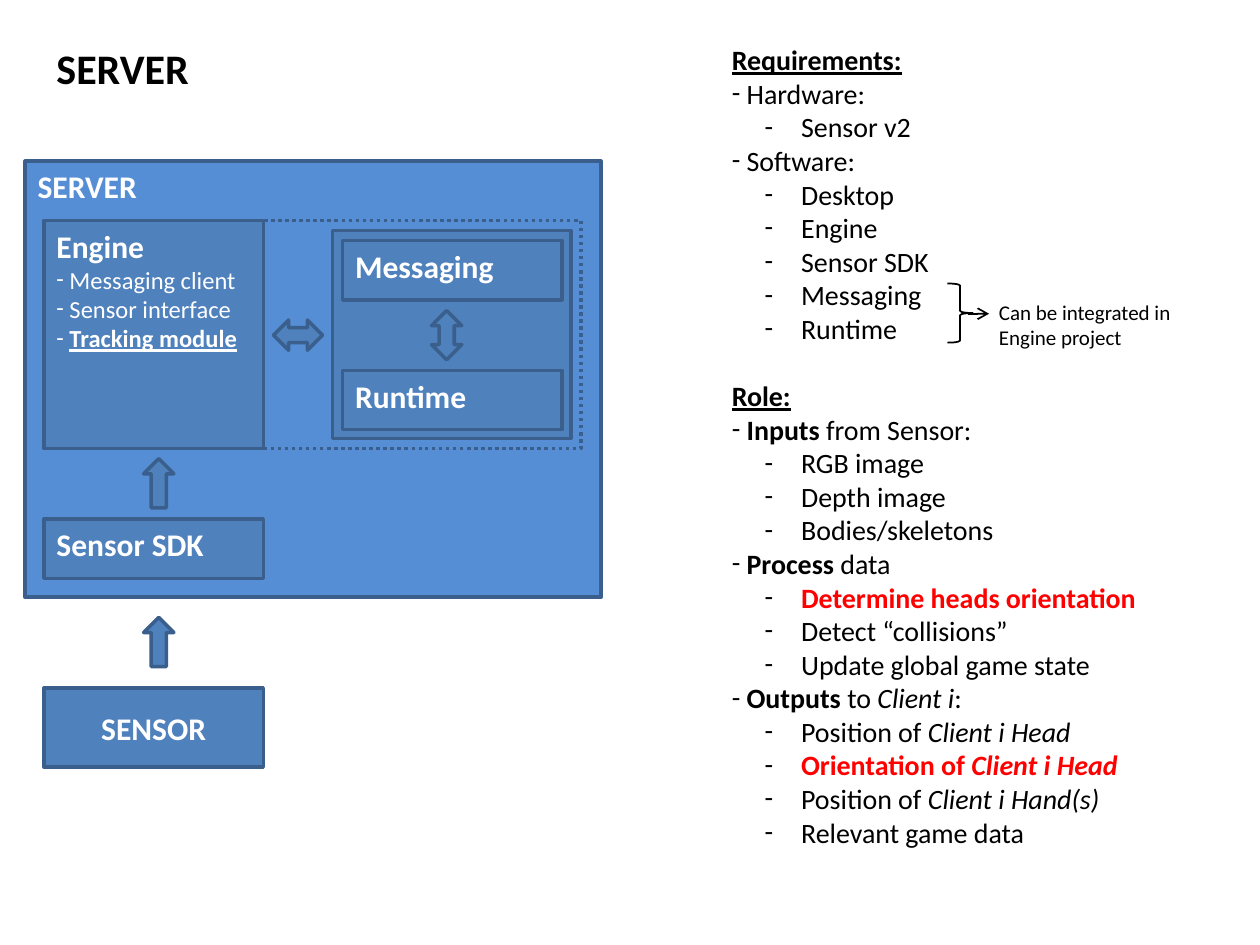
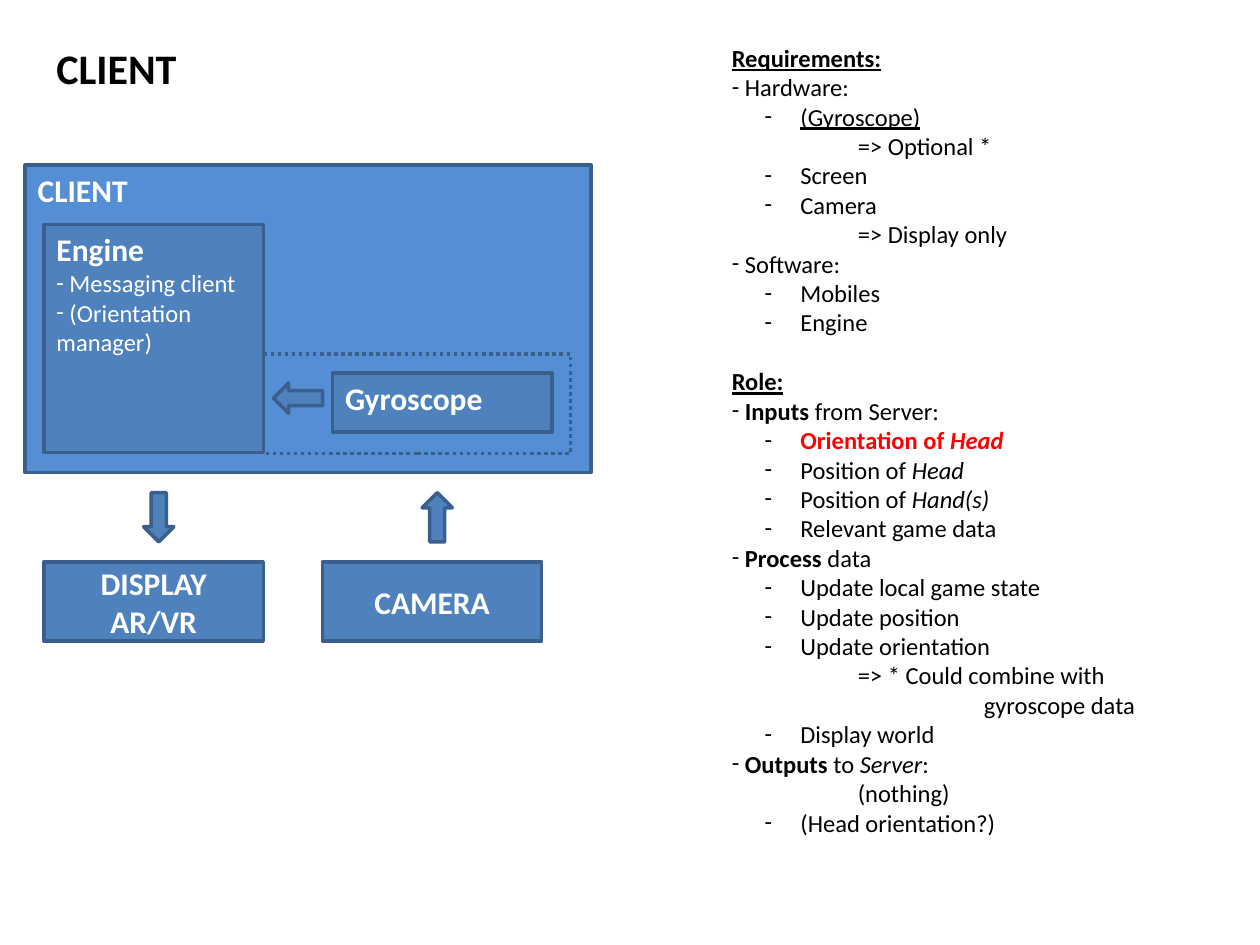
from dataclasses import dataclass

from lxml.etree import SubElement
from pptx import Presentation
from pptx.dml.color import RGBColor
from pptx.enum.dml import MSO_LINE_DASH_STYLE as Dash
from pptx.enum.shapes import MSO_CONNECTOR, MSO_SHAPE as Shape
from pptx.enum.text import MSO_ANCHOR as Anchor, MSO_AUTO_SIZE as AutoSize, PP_ALIGN as Align
from pptx.oxml.ns import qn
from pptx.util import Inches, Pt


@dataclass(frozen=True)
class Theme:
    font: str = "Calibri"
    ink: str = "000000"
    alert: str = "FF0000"
    light: str = "FFFFFF"
    panel: str = "558ED5"
    block: str = "4F81BD"
    outline: str = "3A5F8C"
    title: int = 24
    label: int = 18
    body: int = 16
    detail: int = 14
    caption: int = 12
    frame_width: int = 2
    thin_width: int = 1


THEME = Theme()
COLUMN = 0.35
UNIT_WIDTH, UNIT_HEIGHT = 1.74, 0.47
DEVICE_HEIGHT = 0.63
CORE_HEIGHT = 1.81
ARROW_LONG, ARROW_SHORT = 0.39, 0.24


@dataclass(frozen=True)
class Line:
    spans: tuple
    indent: float = 0
    hang: float = 0
    bullet: bool = False
    size: int = 0
    gap: bool = False


def item(*spans, size=0):
    return Line(spans, bullet=True, size=size)


def sub(*spans):
    return Line(spans, indent=0.5, hang=0.24, bullet=True)


def note(text, indent=1):
    return Line((text,), indent=indent)


def heading(text, gap=False):
    return Line(((text, "bu"),), gap=gap)


def write_text(frame, lines, size, color, bold=False, align=Align.LEFT):
    for index, line in enumerate(lines):
        line = Line((line,)) if isinstance(line, str) else line
        para = frame.paragraphs[0] if index == 0 else frame.add_paragraph()
        para.alignment = align
        line_size = line.size or size
        if line.gap:
            para.space_before = Pt(1.2 * line_size)
        properties = para._p.get_or_add_pPr()
        properties.set("marL", str(Inches(line.indent)))
        properties.set("indent", str(-Inches(line.hang)))
        spans = line.spans
        if line.bullet:
            SubElement(properties, qn("a:buFont"), typeface=THEME.font)
            SubElement(properties, qn("a:buChar"), char="-")
            spans = (" ",) + tuple(spans)
        else:
            SubElement(properties, qn("a:buNone"))
        for span in spans:
            text, style = (span, "") if isinstance(span, str) else span
            run = para.add_run()
            run.text = text
            font = run.font
            font.name, font.size = THEME.font, Pt(line_size)
            font.bold = "b" in style or (bold and not line.bullet)
            font.italic = "i" in style
            font.underline = "u" in style
            font.color.rgb = RGBColor.from_string(THEME.alert if "r" in style else color)


def add_text(page, left, top, width, height, lines, size, bold=False):
    box = page.shapes.add_textbox(Inches(left), Inches(top), Inches(width), Inches(height))
    box.text_frame.word_wrap = False
    box.text_frame.auto_size = AutoSize.SHAPE_TO_FIT_TEXT
    write_text(box.text_frame, lines, size, THEME.ink, bold)


def add_figure(page, kind, left, top, width, height, fill=THEME.block,
               line=THEME.outline, line_width=THEME.frame_width, dash=None, turn=0):
    figure = page.shapes.add_shape(kind, Inches(left), Inches(top), Inches(width), Inches(height))
    figure.shadow.inherit = False
    figure.rotation = turn
    if fill:
        figure.fill.solid()
        figure.fill.fore_color.rgb = RGBColor.from_string(fill)
    else:
        figure.fill.background()
    figure.line.color.rgb = RGBColor.from_string(line)
    figure.line.width = Pt(line_width)
    if dash:
        figure.line.dash_style = dash
    return figure


def add_block(page, left, top, width, height, lines=(), fill=THEME.block, centered=False):
    block = add_figure(page, Shape.RECTANGLE, left, top, width, height, fill)
    frame = block.text_frame
    frame.word_wrap = True
    frame.vertical_anchor = Anchor.MIDDLE if centered else Anchor.TOP
    write_text(frame, lines, THEME.label, THEME.light, bold=True,
               align=Align.CENTER if centered else Align.LEFT)


def add_unit(page, left, top, name):
    add_block(page, left, top, UNIT_WIDTH, UNIT_HEIGHT, [name])


def add_device(page, left, top, *names):
    add_block(page, left, top, UNIT_WIDTH, DEVICE_HEIGHT, names, centered=True)


def add_core(page, top, *details):
    features = [item(detail, size=THEME.detail) for detail in details]
    add_block(page, COLUMN, top, UNIT_WIDTH, CORE_HEIGHT, ["Engine", *features])


def add_group(page, left, top, width, height):
    add_figure(page, Shape.RECTANGLE, left, top, width, height, fill=None, dash=Dash.ROUND_DOT)


def add_vertical_arrow(page, kind, left, top):
    add_figure(page, kind, left, top, ARROW_SHORT, ARROW_LONG)


def add_level_arrow(page, kind, left, top, turn=0):
    add_figure(page, kind, left, top, ARROW_LONG, ARROW_SHORT, turn=turn)


def add_pointer(page, left, right, level):
    pointer = page.shapes.add_connector(
        MSO_CONNECTOR.STRAIGHT, Inches(left), Inches(level), Inches(right), Inches(level))
    pointer.line.color.rgb = RGBColor.from_string(THEME.ink)
    pointer.line.width = Pt(THEME.thin_width)
    SubElement(pointer.line._get_or_add_ln(), qn("a:tailEnd"), type="arrow")
    SubElement(pointer._element.spPr, qn("a:effectLst"))


def start_page(deck, title, title_width):
    page = deck.slides.add_slide(deck.slide_layouts[6])
    add_text(page, COLUMN, 0.29, title_width, 0.5, [title], THEME.title, bold=True)
    return page


def add_outline(page, width, height, lines, size):
    add_text(page, 5.71, 0.29, width, height, lines, size)


def build_server(deck):
    page = start_page(deck, "SERVER", 1.27)
    add_outline(page, 3.52, 6.56, [
        heading("Requirements:"),
        item("Hardware:"),
        sub("Sensor v2"),
        item("Software:"),
        sub("Desktop"),
        sub("Engine"),
        sub("Sensor SDK"),
        sub("Messaging"),
        sub("Runtime"),
        heading("Role:", gap=True),
        item(("Inputs", "b"), " from Sensor:"),
        sub("RGB image"),
        sub("Depth image"),
        sub("Bodies/skeletons"),
        item(("Process", "b"), " data"),
        sub(("Determine heads orientation", "br")),
        sub("Detect “collisions”"),
        sub("Update global game state"),
        item(("Outputs", "b"), " to ", ("Client i", "i"), ":"),
        sub("Position of ", ("Client i Head", "i")),
        sub(("Orientation of ", "br"), ("Client i Head", "bir")),
        sub("Position of ", ("Client i Hand(s)", "i")),
        sub("Relevant game data"),
    ], THEME.body)
    add_figure(page, Shape.RIGHT_BRACE, 7.52, 2.25, 0.2, 0.47, fill=None,
               line=THEME.ink, line_width=THEME.thin_width)
    add_text(page, 7.83, 2.33, 1.57, 0.5,
             ["Can be integrated in", "Engine project"], THEME.caption)
    add_pointer(page, 7.68, 7.85, 2.49)

    add_block(page, 0.2, 1.28, 4.57, 3.46, ["SERVER"], THEME.panel)
    add_block(page, 2.64, 1.83, 1.89, 1.65)
    add_device(page, COLUMN, 5.46, "SENSOR")
    add_unit(page, COLUMN, 4.12, "Sensor SDK")
    add_core(page, 1.75, "Messaging client", "Sensor interface", ("Tracking module", "bu"))
    for top, name in ((1.91, "Messaging"), (2.94, "Runtime")):
        add_unit(page, 2.72, top, name)
    add_group(page, 2.09, 1.75, 2.52, CORE_HEIGHT)
    for left, turn in ((2.17, 0), (3.35, 90)):
        add_level_arrow(page, Shape.LEFT_RIGHT_ARROW, left, 2.54, turn)
    for top in (4.9, 3.64):
        add_vertical_arrow(page, Shape.UP_ARROW, 1.14, top)


def build_client(deck):
    page = start_page(deck, "CLIENT", 1.16)
    add_block(page, 0.2, 1.31, 4.49, 2.44, ["CLIENT"], THEME.panel)
    add_core(page, 1.78, "Messaging client", "(Orientation manager)")
    add_device(page, COLUMN, 4.46, "DISPLAY", "AR/VR")
    add_vertical_arrow(page, Shape.DOWN_ARROW, 1.14, 3.91)
    add_group(page, 2.09, 2.81, 2.44, 0.79)
    add_unit(page, 2.64, 2.96, "Gyroscope")
    add_device(page, 2.56, 4.46, "CAMERA")
    add_vertical_arrow(page, Shape.UP_ARROW, 3.35, 3.91)
    add_level_arrow(page, Shape.LEFT_ARROW, 2.17, 3.04)
    add_outline(page, 3.43, 6.46, [
        heading("Requirements:"),
        item("Hardware:"),
        sub(("(Gyroscope)", "u")),
        note("=> Optional *"),
        sub("Screen"),
        sub("Camera"),
        note("=> Display only"),
        item("Software:"),
        sub("Mobiles"),
        sub("Engine"),
        heading("Role:", gap=True),
        item(("Inputs", "b"), " from Server:"),
        sub(("Orientation of ", "br"), ("Head", "bir")),
        sub("Position of ", ("Head", "i")),
        sub("Position of ", ("Hand(s)", "i")),
        sub("Relevant game data"),
        item(("Process", "b"), " data"),
        sub("Update local game state"),
        sub("Update position"),
        sub("Update orientation"),
        note("=> * Could combine with"),
        note("gyroscope data", indent=2),
        sub("Display world"),
        item(("Outputs", "b"), " to ", ("Server", "i"), ":"),
        note("(nothing)"),
        sub("(Head orientation?)"),
    ], THEME.detail)


def main():
    deck = Presentation()
    deck.slide_width, deck.slide_height = Inches(10), Inches(7.5)
    build_server(deck)
    build_client(deck)
    deck.save("out.pptx")


main()
